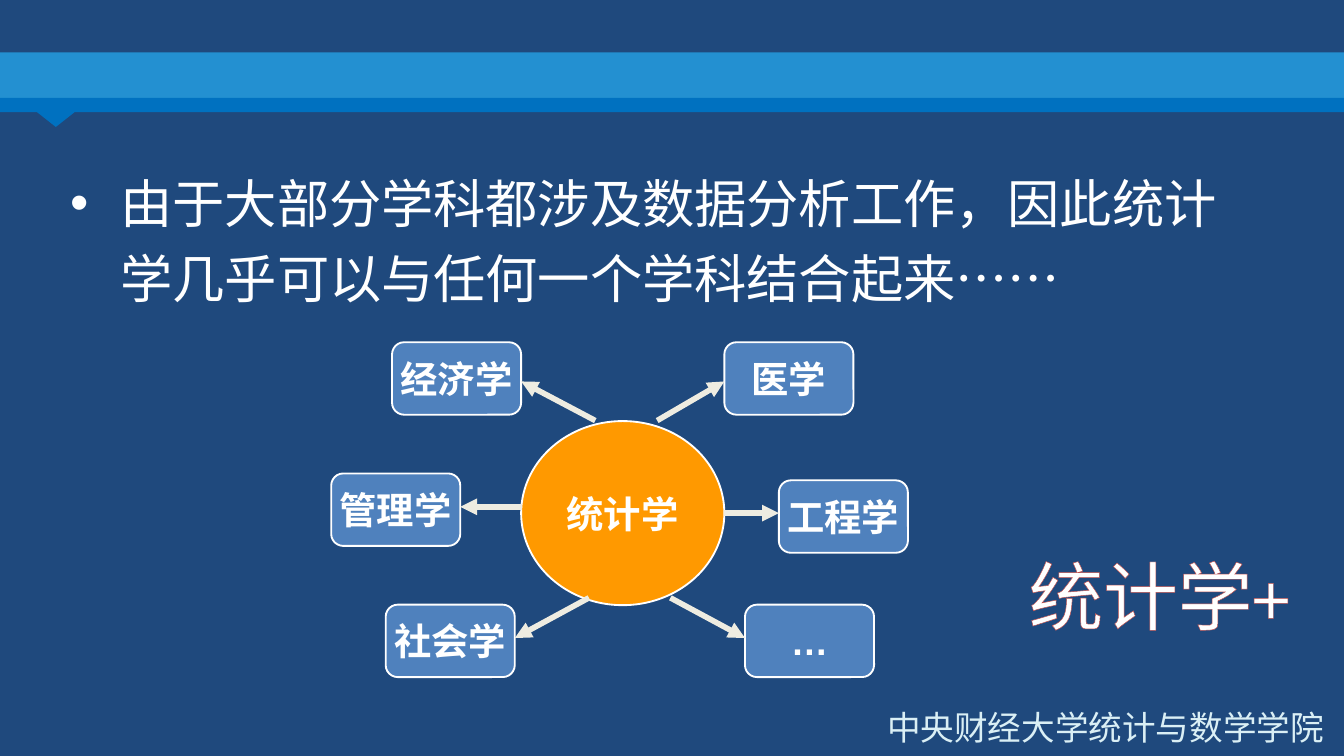
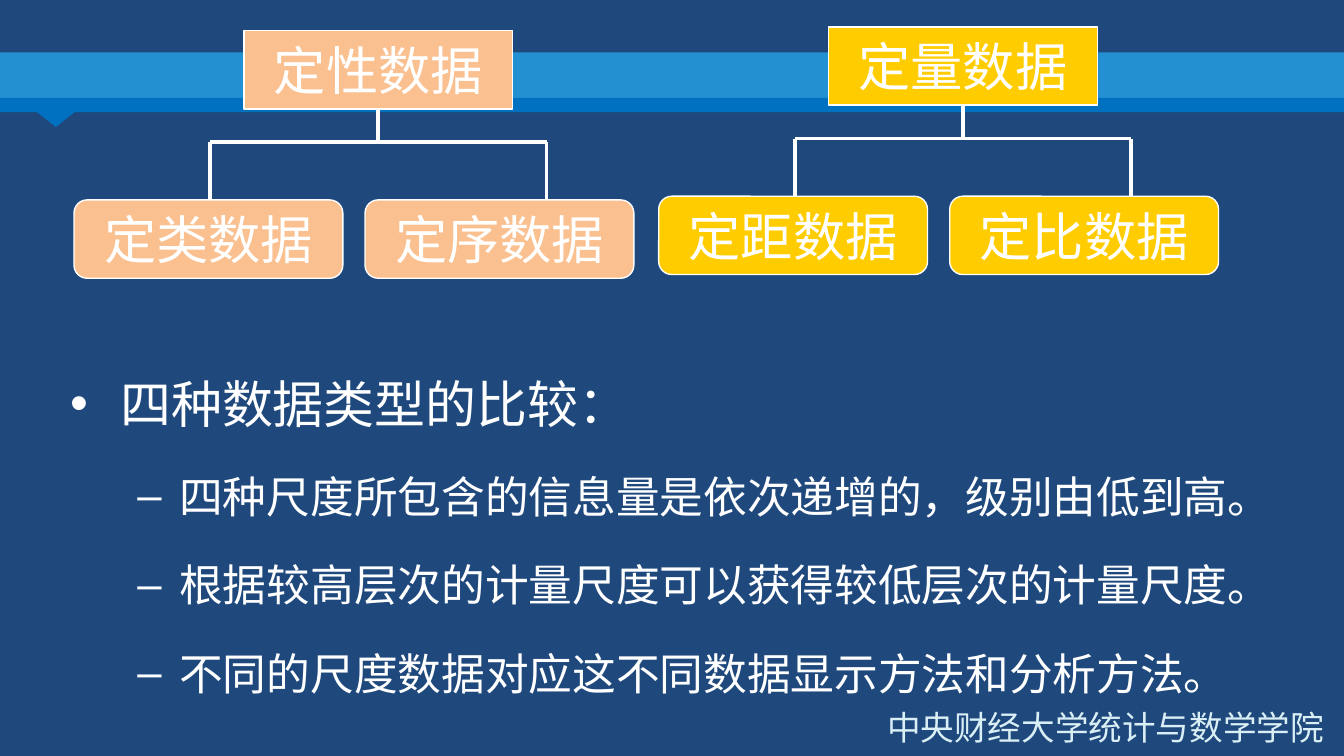
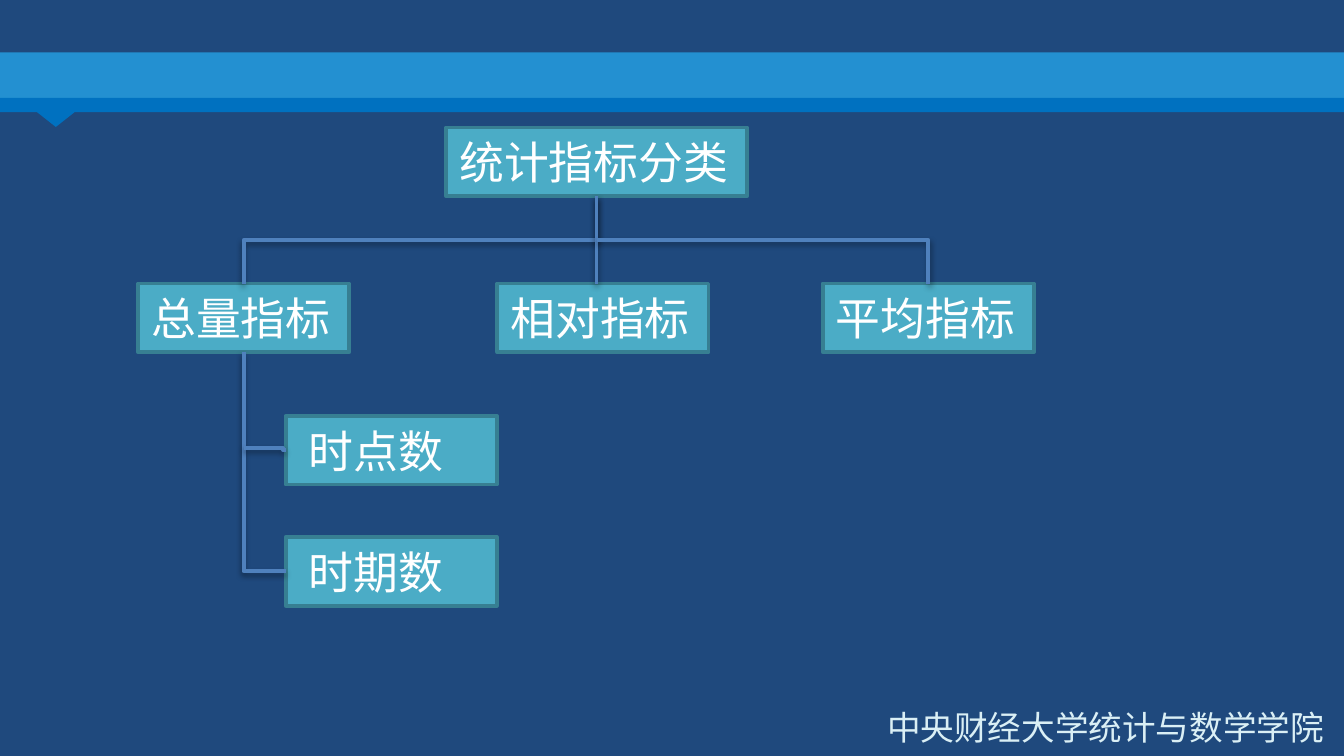
from lxml import etree
from pptx import Presentation
from pptx.dml.color import RGBColor
from pptx.enum.shapes import MSO_CONNECTOR, MSO_SHAPE
from pptx.enum.text import MSO_ANCHOR, MSO_AUTO_SIZE, PP_ALIGN
from pptx.oxml.ns import qn
from pptx.util import Cm, Pt

RECTANGLE, ROUNDED = MSO_SHAPE.RECTANGLE, MSO_SHAPE.ROUNDED_RECTANGLE
OVAL, TRIANGLE = MSO_SHAPE.OVAL, MSO_SHAPE.ISOSCELES_TRIANGLE
STRAIGHT, ELBOW = MSO_CONNECTOR.STRAIGHT, MSO_CONNECTOR.ELBOW
LEFT, CENTER, RIGHT = PP_ALIGN.LEFT, PP_ALIGN.CENTER, PP_ALIGN.RIGHT
MIDDLE = MSO_ANCHOR.MIDDLE
FIXED = MSO_AUTO_SIZE.NONE
CONTENT_LAYOUT, BLANK_LAYOUT = 1, 6

COLORS = {
    "navy": "1F497D", "band": "2390D1", "edge": "0071C0", "footer": "DAEFF5",
    "white": "FFFFFF", "orange": "FF9900", "blue": "4F81BD", "arrow": "EEECE1",
    "peach": "FAC090", "gold": "FFCC00", "teal": "4BACC6", "teal_line": "377F92",
    "red": "C0504D", "black": "000000",
}
CJK_FONT = "Noto Sans CJK SC"
WIDTH, HEIGHT = 25.4, 14.29

FOOTER = "中央财经大学统计与数学学院"
FOOTER_BOX = (14.78, 13.23, 10.49, 1.02)

PLUS_BODY = [(0, "由于大部分学科都涉及数据分析工作，因此统计学几乎可以与任何一个学科结合起来……", 28)]
PLUS_BODY_BOX = (1.07, 2.87, 22.86, 10.41)
HUB = ("统计学", (9.85, 7.96, 3.84, 3.48))
FIELD_SIZE = (2.44, 1.37)
FIELDS = [
    ("经济学", (7.41, 6.47), (11.25, 7.95), 7.21),
    ("管理学", (6.26, 8.95), (9.86, 9.58), 9.58),
    ("社会学", (7.29, 11.43), (11.13, 11.3), 12.06),
    ("医学", (13.69, 6.47), (12.42, 7.95), 7.21),
    ("工程学", (14.72, 9.08), (13.69, 9.7), 9.7),
    ("…", (14.08, 11.43), (12.67, 11.3), 12.06),
]
SLOGAN = ("统计学+", (18.88, 10.26, 6.05, 1.96))

COMPARISON = [
    (0, "四种数据类型的比较：", 27.3),
    (1, "四种尺度所包含的信息量是依次递增的，级别由低到高。", 23.4),
    (1, "根据较高层次的计量尺度可以获得较低层次的计量尺度。", 23.4),
    (1, "不同的尺度数据对应这不同数据显示方法和分析方法。", 23.4),
]
COMPARISON_BOX = (1.07, 6.68, 22.86, 6.6)
DATA_SIZE = (5.08, 1.48)
DATA_TREES = [
    ("定性数据", ("定类数据", "定序数据"), (4.61, 0.58), "peach"),
    ("定量数据", ("定距数据", "定比数据"), (15.66, 0.51), "gold"),
]
LEAF_SHIFTS, LEAF_DROP = (-3.21, 2.29), 3.2
BRANCH_REACH, BRANCH_DROP = 3.18, 0.63

INDICATOR_ROOT = ("统计指标分类", (8.43, 2.41, 5.69, 1.3))
INDICATOR_SIZE = (3.99, 1.3)
INDICATORS = [("总量指标", 2.61), ("相对指标", 9.4), ("平均指标", 15.55)]
INDICATOR_TOP = 5.36
TOTAL_PARTS = [("时点数", 7.86), ("时期数", 10.15)]
PART_LEFT, PART_INDENT = 5.4, 0.44
BRANCH_STEP = 0.04


def color(name):
    return RGBColor.from_string(COLORS[name])


def lengths(values):
    return [Cm(value) for value in values]


def apply(target, formats):
    for name, value in formats.items():
        setattr(target, name, value)


def child(parent, tag, **attributes):
    return etree.SubElement(parent, qn(tag), attributes)


def format_run(run, size, latin=CJK_FONT, ink="white", bold=False):
    apply(run.font, {"size": Pt(size), "name": latin, "bold": bold})
    run.font.color.rgb = color(ink)
    child(run.font._element, "a:ea", typeface=CJK_FONT)


def write(shape, text, size, align=CENTER, wrap=False, **formats):
    frame = shape.text_frame
    apply(frame, {"word_wrap": wrap, "auto_size": FIXED, "vertical_anchor": MIDDLE})
    paragraph = frame.paragraphs[0]
    paragraph.alignment = align
    run = paragraph.add_run()
    run.text = text
    format_run(run, size, **formats)
    return run


def add_shape(slide, kind, box, fill, line=None, line_width=1):
    shape = slide.shapes.add_shape(kind, *lengths(box))
    shape.shadow.inherit = False
    shape.fill.solid()
    shape.fill.fore_color.rgb = color(fill)
    if line:
        shape.line.color.rgb = color(line)
        shape.line.width = Pt(line_width)
    else:
        shape.line.fill.background()
    return shape


def add_line(slide, start, end, ink, width, kind=STRAIGHT, arrow=False):
    connector = slide.shapes.add_connector(kind, *lengths((*start, *end)))
    connector.line.color.rgb = color(ink)
    connector.line.width = Pt(width)
    if arrow:
        child(connector.line._get_or_add_ln(), "a:tailEnd", type="triangle")
    child(connector._element.spPr, "a:effectLst")
    return connector


def add_elbow(slide, start, end):
    connector = add_line(slide, start, end, "blue", 2, ELBOW)
    properties = connector._element.spPr
    shadow = child(properties.find(qn("a:effectLst")), "a:outerShdw",
                   blurRad="40000", dist="20000", dir="5400000", rotWithShape="0")
    child(child(shadow, "a:srgbClr", val=COLORS["black"]), "a:alpha", val="38000")
    return properties


def add_drop(slide, start, end, preset):
    across, down = end[0] - start[0], end[1] - start[1]
    middle_x, middle_y = (start[0] + end[0]) / 2, (start[1] + end[1]) / 2
    half_width, half_height = down / 2, abs(across) / 2
    properties = add_elbow(slide, (middle_x - half_width, middle_y - half_height),
                           (middle_x + half_width, middle_y + half_height))
    frame = properties.find(qn("a:xfrm"))
    frame.set("rot", "5400000")
    if across > 0:
        frame.set("flipV", "1")
    properties.find(qn("a:prstGeom")).set("prst", preset)


def add_base_slide(presentation, layout):
    slide = presentation.slides.add_slide(presentation.slide_layouts[layout])
    if slide.shapes.title is not None:
        title = slide.shapes.title._element
        title.getparent().remove(title)
    add_shape(slide, TRIANGLE, (0.7, 2.12, 0.71, 0.28), "edge").rotation = 180
    add_shape(slide, RECTANGLE, (0, 0.99, WIDTH, 0.87), "band")
    add_shape(slide, RECTANGLE, (0, 1.85, WIDTH, 0.27), "edge")
    footer = slide.shapes.add_textbox(*lengths(FOOTER_BOX))
    write(footer, FOOTER, 18, RIGHT, True, ink="footer")
    return slide


def fill_body(slide, box, items, latin=CJK_FONT):
    body = slide.placeholders[1]
    apply(body, dict(zip(("left", "top", "width", "height"), lengths(box))))
    frame = body.text_frame
    frame.auto_size = FIXED
    for index, (level, text, size) in enumerate(items):
        paragraph = frame.add_paragraph() if index else frame.paragraphs[0]
        apply(paragraph, {"level": level, "line_spacing": 1.2,
                          "space_before": Pt(13.7 if index else 0)})
        run = paragraph.add_run()
        run.text = text
        format_run(run, size, latin)


def build_plus_slide(presentation):
    slide = add_base_slide(presentation, CONTENT_LAYOUT)
    fill_body(slide, PLUS_BODY_BOX, PLUS_BODY)
    name, hub_box = HUB
    hub = add_shape(slide, OVAL, hub_box, "orange", "white")
    write(hub, name, 20, latin="Arial", bold=True)
    hub_center = hub_box[0] + hub_box[2] / 2
    width, height = FIELD_SIZE
    for name, (left, top), start, tip in FIELDS:
        field = add_shape(slide, ROUNDED, (left, top, width, height), "blue", "white")
        write(field, name, 20, latin="Arial", bold=True)
        inner_side = left + width if left < hub_center else left
        add_line(slide, start, (inner_side, tip), "arrow", 3, arrow=True)
    text, box = SLOGAN
    slogan = slide.shapes.add_textbox(*lengths(box))
    run = write(slogan, text, 40, wrap=True, latin="Calibri")
    outline = etree.Element(qn("a:ln"), w=str(Pt(0.52)))
    child(child(outline, "a:solidFill"), "a:srgbClr", val=COLORS["red"])
    run.font._element.insert(0, outline)


def build_data_slide(presentation):
    slide = add_base_slide(presentation, CONTENT_LAYOUT)
    fill_body(slide, COMPARISON_BOX, COMPARISON, "Times New Roman")
    width, height = DATA_SIZE
    for root, leaves, (left, top), fill in DATA_TREES:
        nodes = [(RECTANGLE, root, left, top)]
        nodes += [(ROUNDED, leaf, left + shift, top + LEAF_DROP)
                  for leaf, shift in zip(leaves, LEAF_SHIFTS)]
        for kind, name, node_left, node_top in nodes:
            box = (node_left, node_top, width, height)
            node = add_shape(slide, kind, box, fill, "white", 0.75)
            write(node, name, 28, latin="Arial")
        center, bottom = left + width / 2, top + height
        bar = bottom + BRANCH_DROP
        ends = (center - BRANCH_REACH, center + BRANCH_REACH)
        add_line(slide, (center, bottom), (center, bar), "white", 2)
        add_line(slide, (ends[0], bar), (ends[1], bar), "white", 2)
        for end in ends:
            add_line(slide, (end, bar), (end, top + LEAF_DROP), "white", 2)


def add_indicator(slide, name, box, indent=0.25):
    shape = add_shape(slide, RECTANGLE, box, "teal", "teal_line", 2)
    shape.text_frame.margin_left = Cm(indent)
    write(shape, name, 24, LEFT, True)


def build_indicator_slide(presentation):
    slide = add_base_slide(presentation, BLANK_LAYOUT)
    name, root_box = INDICATOR_ROOT
    add_indicator(slide, name, root_box)
    root_x, root_bottom = root_box[0] + root_box[2] / 2, root_box[1] + root_box[3]
    bar = (root_bottom + INDICATOR_TOP) / 2
    width, height = INDICATOR_SIZE
    for name, left in INDICATORS:
        add_indicator(slide, name, (left, INDICATOR_TOP, width, height))
    total_x, relative_x, average_x = [left + width / 2 for name, left in INDICATORS]
    add_drop(slide, (root_x, root_bottom), (total_x, INDICATOR_TOP), "bentConnector3")
    add_drop(slide, (root_x, root_bottom), (root_x, INDICATOR_TOP), "bentConnector2")
    corner = add_elbow(slide, (root_x, bar), (average_x, INDICATOR_TOP))
    corner.find(qn("a:prstGeom")).set("prst", "bentConnector2")
    for name, top in TOTAL_PARTS:
        add_indicator(slide, name, (PART_LEFT, top, width, height), PART_INDENT)
    point_y, period_y = [top + height / 2 for name, top in TOTAL_PARTS]
    add_drop(slide, (total_x, INDICATOR_TOP + height), (PART_LEFT, period_y),
             "bentConnector2")
    branch = add_elbow(slide, (PART_LEFT, point_y), (total_x, point_y - BRANCH_STEP))
    geometry = branch.find(qn("a:prstGeom"))
    for guides in geometry.findall(qn("a:avLst")):
        geometry.remove(guides)
    child(child(geometry, "a:avLst"), "a:gd", name="adj1", fmla="val 6100")


def main():
    presentation = Presentation()
    apply(presentation, {"slide_width": Cm(WIDTH), "slide_height": Cm(HEIGHT)})
    background = presentation.slide_master.background.fill
    background.solid()
    background.fore_color.rgb = color("navy")
    build_plus_slide(presentation)
    build_data_slide(presentation)
    build_indicator_slide(presentation)
    presentation.save("out.pptx")


if __name__ == "__main__":
    main()
